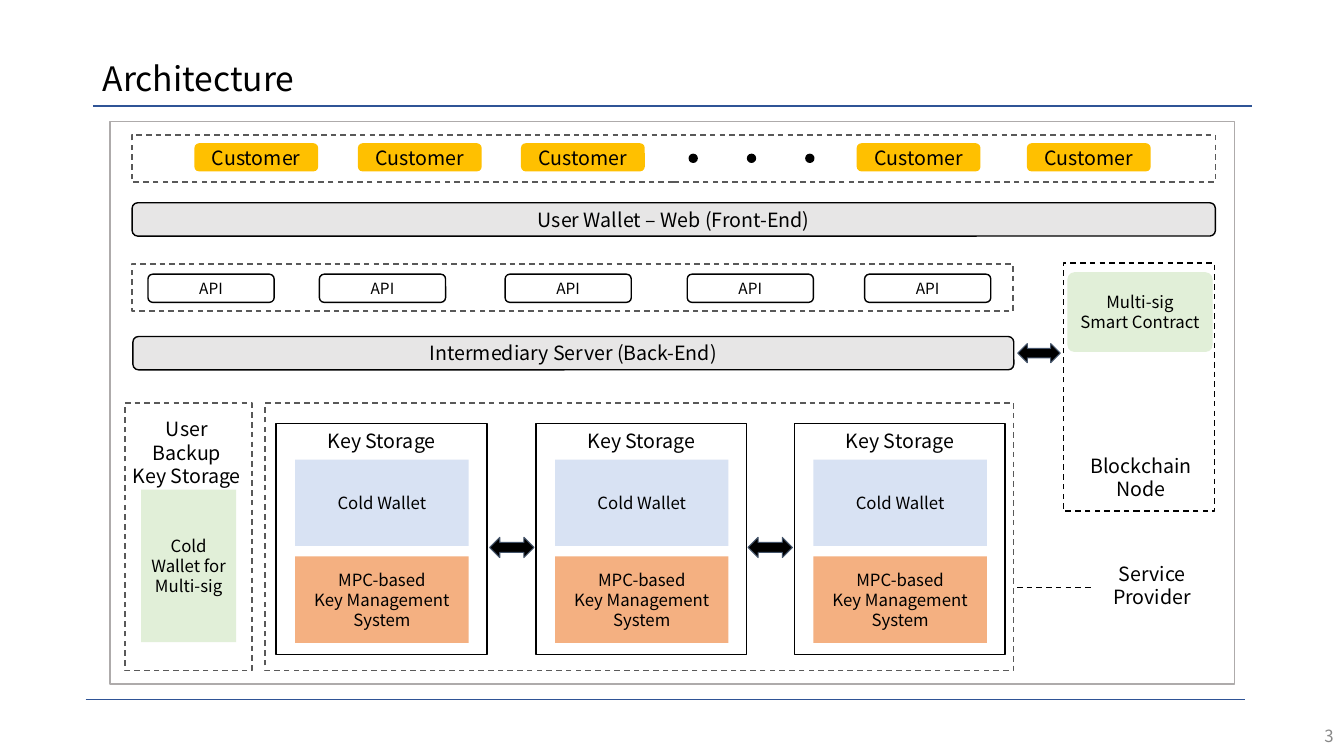
from pptx import Presentation
from pptx.dml.color import RGBColor
from pptx.enum.dml import MSO_LINE as Dash
from pptx.enum.shapes import MSO_CONNECTOR as Link, MSO_SHAPE as Kind
from pptx.enum.text import MSO_ANCHOR as Anchor, PP_ALIGN as Align
from pptx.oxml.ns import qn
from pptx.util import Cm, Pt
from lxml import etree

FONT = "Noto Sans CJK KR"
BLACK = RGBColor(0x00, 0x00, 0x00)
WHITE = RGBColor(0xFF, 0xFF, 0xFF)
NAVY = RGBColor(0x2F, 0x54, 0x96)
SLATE = RGBColor(0x44, 0x54, 0x6A)
SILVER = RGBColor(0xAE, 0xAB, 0xAB)
GREY = RGBColor(0x59, 0x59, 0x59)
MID = RGBColor(0x88, 0x88, 0x88)
PALE = RGBColor(0xE7, 0xE6, 0xE6)
GOLD = RGBColor(0xFF, 0xC0, 0x00)
GREEN = RGBColor(0xE1, 0xEF, 0xD8)
BLUE = RGBColor(0xD8, 0xE2, 0xF3)
ORANGE = RGBColor(0xF4, 0xB0, 0x81)

deck = Presentation()
deck.slide_width, deck.slide_height = Cm(33.87), Cm(19.05)
slide = deck.slides.add_slide(deck.slide_layouts[5])
page = slide.shapes


def box(home, kind, place, fill=None, edge=None, dash=False, width=1):
    shape = home.add_shape(kind, *[Cm(n) for n in place])
    shape.shadow.inherit = False
    if fill is None:
        shape.fill.background()
    else:
        shape.fill.solid()
        shape.fill.fore_color.rgb = fill
    if edge is None:
        shape.line.fill.background()
    else:
        shape.line.color.rgb = edge
        shape.line.width = Pt(width)
        if dash:
            shape.line.dash_style = Dash.DASH
    return shape


def write(shape, text, size, anchor=Anchor.MIDDLE, align=Align.CENTER, color=BLACK):
    frame = shape.text_frame
    frame.text = text
    frame.word_wrap = True
    frame.vertical_anchor = anchor
    frame.margin_left = frame.margin_right = Cm(0.18)
    frame.margin_top = frame.margin_bottom = Cm(0.1)
    for par in frame.paragraphs:
        par.alignment = align
        for run in par.runs:
            run.font.name = FONT
            run.font.size = Pt(size)
            run.font.color.rgb = color


# Title and page number
title = page.title
title.left, title.top, title.width, title.height = Cm(2.34), Cm(1.02), Cm(29.21), Cm(2)
write(title, "Architecture", 24, align=Align.LEFT)
title.text_frame.margin_left = Cm(0.25)
title.text_frame.paragraphs[0].line_spacing = 0.9
number = page.add_textbox(Cm(26.24), Cm(18.03), Cm(7.62), Cm(1.02))
write(number, "3", 12, align=Align.RIGHT, color=MID)
number.text_frame.margin_right = Cm(0.25)

# Rules above and below, and the dashed link to the service provider
for left, right, y, color, dash in [
    (2.34, 31.55, 2.67, NAVY, False),
    (2.16, 31.37, 17.63, NAVY, False),
    (25.63, 27.58, 14.81, BLACK, True),
]:
    rule = page.add_connector(Link.STRAIGHT, Cm(left), Cm(y), Cm(right), Cm(y))
    rule.line.color.rgb = color
    rule.line.width = Pt(1)
    if dash:
        rule.line.dash_style = Dash.DASH
    etree.SubElement(rule._element.spPr, qn("a:effectLst"))

# Outer frame and dashed frames
box(page, Kind.RECTANGLE, (2.77, 3.07, 28.35, 14.17), edge=SILVER)
for place in [
    (3.33, 3.4, 27.3, 1.19),
    (3.33, 6.65, 22.2, 1.19),
    (6.68, 10.16, 18.87, 6.73),
    (3.15, 10.16, 3.2, 6.73),
]:
    box(page, Kind.RECTANGLE, place, edge=GREY, dash=True)
box(page, Kind.RECTANGLE, (26.8, 6.63, 3.81, 6.25), WHITE, BLACK, dash=True)

# Customers and dots
for x in (4.9, 9.02, 13.13, 21.59, 25.88):
    write(box(page, Kind.ROUNDED_RECTANGLE, (x, 3.61, 3.12, 0.71), GOLD), "Customer", 14)
for i in range(3):
    box(page, Kind.OVAL, (17.37 + 1.47 * i, 3.89, 0.2, 0.2), BLACK, BLACK)

# Front-end and back-end bars, with the APIs between
for place, text in [
    ((3.33, 5.11, 27.3, 0.84), "User Wallet – Web (Front-End)"),
    ((3.35, 8.48, 22.2, 0.84), "Intermediary Server (Back-End)"),
]:
    write(box(page, Kind.ROUNDED_RECTANGLE, place, PALE, BLACK), text, 14)
for x in (3.73, 8.05, 12.73, 17.32, 21.79):
    write(box(page, Kind.ROUNDED_RECTANGLE, (x, 6.91, 3.18, 0.71), WHITE, BLACK), "API", 11)

# Multi-sig parts
smart = box(page, Kind.ROUNDED_RECTANGLE, (26.9, 6.86, 3.66, 2.01), GREEN)
smart.adjustments[0] = 0.09
write(smart, "Multi-sig\vSmart Contract", 12)
cold = box(page, Kind.RECTANGLE, (3.56, 12.34, 2.39, 3.84), GREEN)
write(cold, "Cold Wallet for Multi-sig", 12)

# Key storages
for x in (6.96, 13.51, 20.02):
    store = page.add_group_shape().shapes
    box(store, Kind.RECTANGLE, (x, 10.67, 5.31, 5.82), WHITE, BLACK)
    for y, fill, text in [
        (11.58, BLUE, "Cold Wallet"),
        (14.02, ORANGE, "MPC-based\vKey Management System"),
    ]:
        write(box(store, Kind.RECTANGLE, (x + 0.48, y, 4.37, 2.18), fill), text, 12)
    head = store.add_textbox(Cm(x + 1.07), Cm(10.72), Cm(3.18), Cm(0.79))
    write(head, "Key Storage", 14, Anchor.TOP)

# Labels
for x, y, width, text in [
    (27.28, 11.33, 2.95, "Blockchain Node"),
    (27.56, 14.05, 2.95, "Service Provider"),
    (3.12, 10.41, 3.18, "User Backup\vKey Storage"),
]:
    label = page.add_textbox(Cm(x), Cm(y), Cm(width), Cm(1.4))
    write(label, text, 14, Anchor.TOP)

# Two-way arrows
for place in [
    (12.34, 13.54, 1.12, 0.51),
    (18.85, 13.54, 1.12, 0.51),
    (25.65, 8.66, 1.07, 0.48),
]:
    box(page, Kind.LEFT_RIGHT_ARROW, place, BLACK, SLATE, width=0.75)

deck.save("out.pptx")
